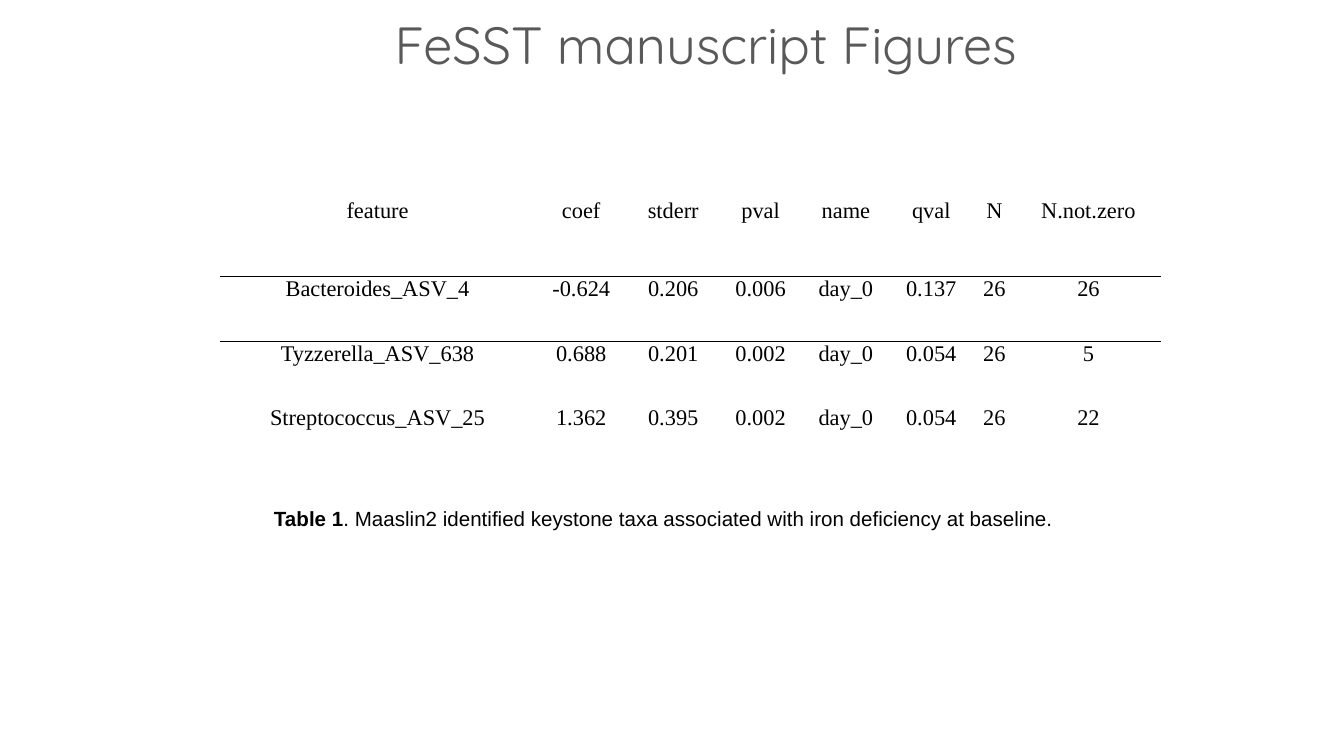
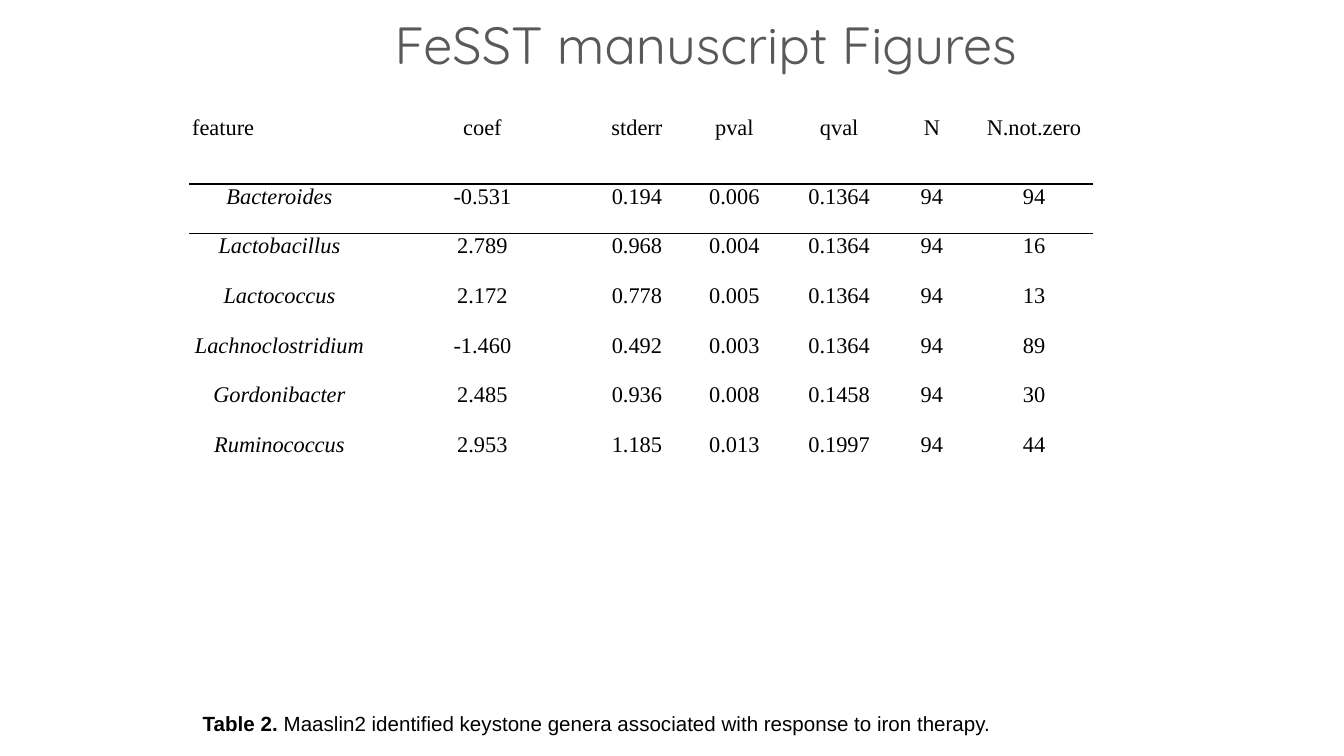
from lxml.etree import SubElement
from pptx import Presentation
from pptx.dml.color import RGBColor
from pptx.enum.text import MSO_ANCHOR, MSO_AUTO_SIZE, PP_ALIGN
from pptx.oxml.ns import qn
from pptx.util import Inches, Pt

BLACK = "000000"
TITLE_GRAY = "595959"
TITLE = "FeSST manuscript Figures"
PLAIN_TABLE_STYLE = "{2D5ABB26-0587-4C30-8999-92F81FD0307C}"


def color(hex_string):
    return RGBColor.from_string(hex_string)


def set_margins(target, margins):
    (target.margin_left, target.margin_top,
     target.margin_right, target.margin_bottom) = map(Inches, margins)


def add_border(cell, side):
    """Draw one side of a cell: lnT is the top, lnB the bottom."""
    properties = cell._tc.get_or_add_tcPr()
    line = SubElement(properties, qn(f"a:{side}"), w=str(Pt(0.75)))
    fill = SubElement(line, qn("a:solidFill"))
    SubElement(fill, qn("a:srgbClr"), val=BLACK)


class FigureDeck:
    title_font = "Quicksand"
    table_font = "Times New Roman"
    caption_font = "Arial"
    box_margins = (0.1, 0.1, 0.1, 0.1)

    def __init__(self):
        self.presentation = Presentation()
        # Widescreen, 16:9
        self.presentation.slide_width = Inches(10)
        self.presentation.slide_height = Inches(10) * 9 // 16
        self.slide = None

    def style(self, run, name, size, hex_string=BLACK, bold=False, italic=False):
        font = run.font
        font.name, font.size = name, Pt(size)
        font.bold, font.italic = bold, italic
        font.color.rgb = color(hex_string)

    def place(self, shape, left, top, width, height):
        shape.left, shape.top = Inches(left), Inches(top)
        shape.width, shape.height = Inches(width), Inches(height)

    def add_slide(self, text):
        layout = self.presentation.slide_layouts[5]
        self.slide = self.presentation.slides.add_slide(layout)
        title = self.slide.shapes.title
        self.place(title, 0.34, 0, 9.32, 0.66)
        frame = title.text_frame
        frame.text = text
        frame.word_wrap = True
        frame.auto_size = MSO_AUTO_SIZE.NONE
        frame.vertical_anchor = MSO_ANCHOR.BOTTOM
        set_margins(frame, self.box_margins)
        paragraph = frame.paragraphs[0]
        paragraph.alignment = PP_ALIGN.CENTER
        properties = paragraph._p.get_or_add_pPr()
        properties.set("marL", str(Inches(0.5)))
        properties.set("indent", "0")
        self.style(paragraph.runs[0], self.title_font, 28, TITLE_GRAY)

    def add_table(self, left, top, widths, heights, rows, header_margins,
                  body_margins, space_after, italic_names=False):
        frame = self.slide.shapes.add_table(
            len(rows), len(widths), Inches(left), Inches(top),
            Inches(sum(widths)), Inches(sum(heights)))
        table = frame.table
        table._tbl.tblPr.find(qn("a:tableStyleId")).text = PLAIN_TABLE_STYLE
        table.horz_banding = False
        for column, width in zip(table.columns, widths):
            column.width = Inches(width)
        for row, height in zip(table.rows, heights):
            row.height = Inches(height)
        for row_index, values in enumerate(rows):
            for column_index, value in enumerate(values):
                cell = table.cell(row_index, column_index)
                set_margins(cell, body_margins if row_index else header_margins)
                cell.text = value
                paragraph = cell.text_frame.paragraphs[0]
                paragraph.alignment = PP_ALIGN.CENTER
                paragraph.space_after = Pt(space_after)
                italic = italic_names and row_index > 0 and column_index == 0
                self.style(paragraph.runs[0], self.table_font, 12, italic=italic)
                # Rules above and below the first data row
                if row_index == 1:
                    add_border(cell, "lnT")
                if row_index <= 1:
                    add_border(cell, "lnB")
                cell.fill.background()
        return table

    def add_caption(self, left, top, width, height, label, text,
                    anchor=MSO_ANCHOR.TOP, line_spacing=1.0):
        box = self.slide.shapes.add_textbox(
            Inches(left), Inches(top), Inches(width), Inches(height))
        frame = box.text_frame
        frame.word_wrap = True
        frame.vertical_anchor = anchor
        set_margins(frame, self.box_margins)
        paragraph = frame.paragraphs[0]
        paragraph.line_spacing = line_spacing
        paragraph.space_after = Pt(12)
        for part, bold in ((label, True), (text, False)):
            run = paragraph.add_run()
            run.text = part
            self.style(run, self.caption_font, 11, bold=bold)


def main():
    deck = FigureDeck()

    # Table 1: taxa at baseline
    deck.add_slide(TITLE)
    deck.add_table(
        1.64, 1.47,
        widths=[2.34, 0.69, 0.68, 0.62, 0.65, 0.62, 0.32, 1.08],
        heights=[0.59] + [0.48] * 3,
        rows=[
            ["feature", "coef", "stderr", "pval", "name", "qval", "N", "N.not.zero"],
            ["Bacteroides_ASV_4", "-0.624", "0.206", "0.006", "day_0", "0.137", "26", "26"],
            ["Tyzzerella_ASV_638", "0.688", "0.201", "0.002", "day_0", "0.054", "26", "5"],
            ["Streptococcus_ASV_25", "1.362", "0.395", "0.002", "day_0", "0.054", "26", "22"],
        ],
        header_margins=(0.01, 0.01, 0.01, 0.1),
        body_margins=(0, 0, 0, 0),
        space_after=8)
    deck.add_caption(
        1.94, 3.67, 6.12, 0.57, "Table 1",
        ". Maaslin2 identified keystone taxa associated with iron deficiency at baseline.")

    # Table 2: genera and response to therapy
    deck.add_slide(TITLE)
    margins = (0, 0, 0, 0.02)
    genera = deck.add_table(
        1.41, 0.86,
        widths=[1.34, 1.68, 0.62, 0.83, 0.73, 0.65, 0.87],
        heights=[0.51] + [0.37] * 6,
        rows=[
            ["feature", "coef", "stderr", "pval", "qval", "N", "N.not.zero"],
            ["Bacteroides", "-0.531", "0.194", "0.006", "0.1364", "94", "94"],
            ["Lactobacillus", "2.789", "0.968", "0.004", "0.1364", "94", "16"],
            ["Lactococcus", "2.172", "0.778", "0.005", "0.1364", "94", "13"],
            ["Lachnoclostridium", "-1.460", "0.492", "0.003", "0.1364", "94", "89"],
            ["Gordonibacter", "2.485", "0.936", "0.008", "0.1458", "94", "30"],
            ["Ruminococcus", "2.953", "1.185", "0.013", "0.1997", "94", "44"],
        ],
        header_margins=margins, body_margins=margins,
        space_after=12, italic_names=True)
    feature = genera.cell(0, 0)
    feature.margin_left = Inches(0.02)
    feature.text_frame.paragraphs[0].alignment = PP_ALIGN.LEFT
    deck.add_caption(
        1.41, 5.1, 7.11, 0.38, "Table 2. ",
        "Maaslin2 identified keystone genera associated with response to iron therapy.",
        anchor=MSO_ANCHOR.MIDDLE, line_spacing=2.0)

    deck.presentation.save("out.pptx")


if __name__ == "__main__":
    main()
